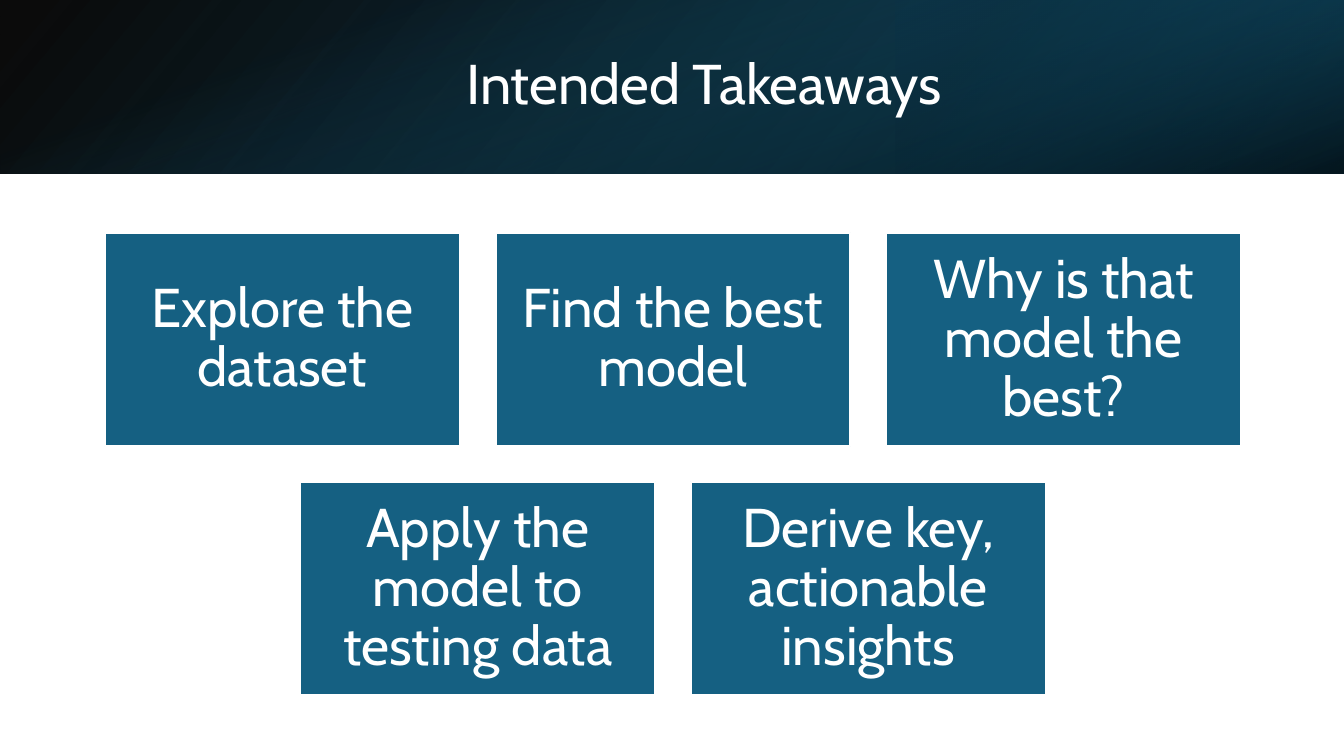
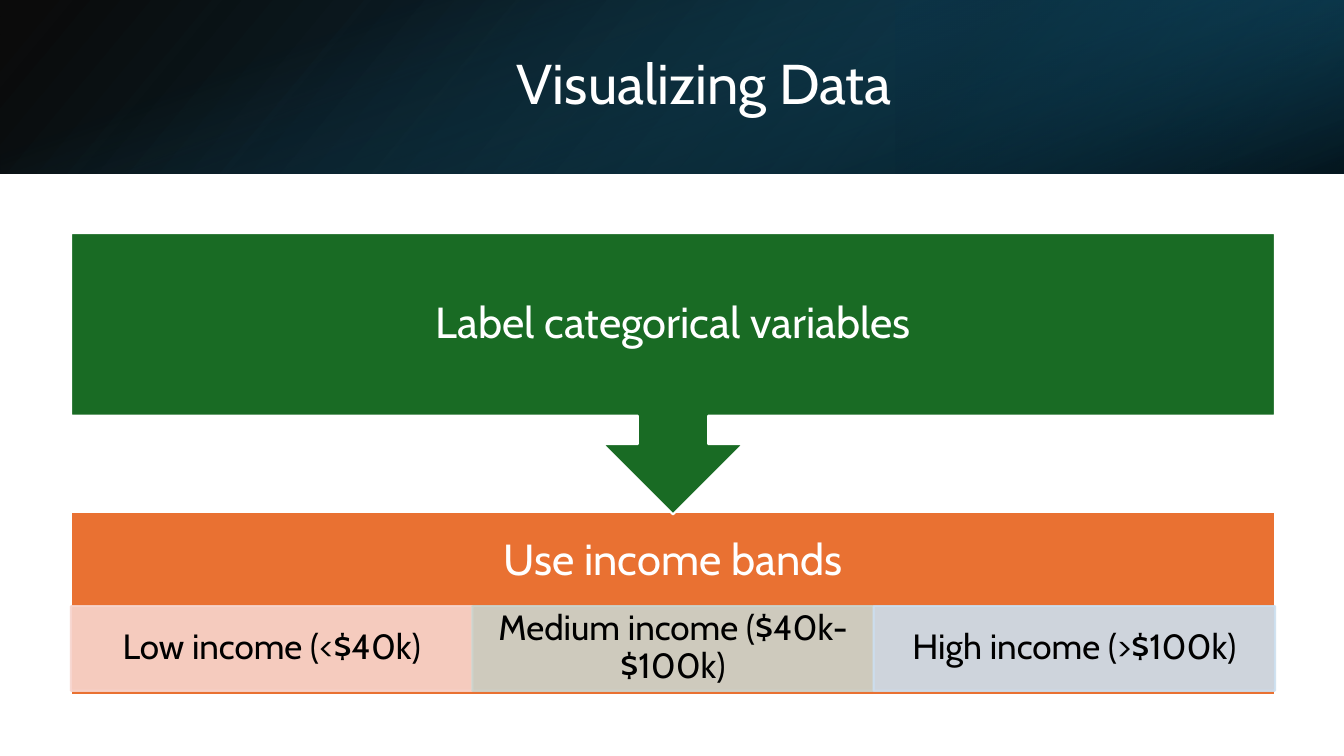
import pptx
import pptx.dml.color
import pptx.enum.shapes
import pptx.enum.text
import pptx.oxml
import pptx.oxml.ns
import pptx.util
from lxml import etree

Pt = pptx.util.Pt
qn = pptx.oxml.ns.qn
SHAPE = pptx.enum.shapes.MSO_SHAPE
ANCHOR = pptx.enum.text.MSO_ANCHOR
ALIGN = pptx.enum.text.PP_ALIGN
FIT = pptx.enum.text.MSO_AUTO_SIZE

FONT = "Cabin"
WIDTH, HEIGHT = 960, 540
BAND = (0, 0, WIDTH, 124)
WHITE, BLACK = "FFFFFF", "000000"
BLUE, GREEN, ORANGE = "156082", "196B24", "E97132"


def paint(color, value, alpha=100):
    """Set the colour of a fill, a line or a font."""
    if alpha < 100:
        color.rgb = pptx.dml.color.RGBColor.from_string(value)
        fade(color._xFill.find(qn("a:srgbClr")), alpha)
    else:
        color.rgb = pptx.dml.color.RGBColor.from_string(value)


def fade(node, alpha):
    etree.SubElement(node, qn("a:alpha"), val=str(alpha * 1000))


def write(shape, text, size, color=WHITE, inset=(7.2, 3.6, 7.2, 3.6)):
    frame = shape.text_frame
    frame.word_wrap = True
    frame.auto_size = FIT.NONE
    frame.vertical_anchor = ANCHOR.MIDDLE
    (frame.margin_left, frame.margin_top,
     frame.margin_right, frame.margin_bottom) = map(Pt, inset)
    para = frame.paragraphs[0]
    para.alignment = ALIGN.CENTER
    para.line_spacing = 0.9
    run = para.add_run()
    run.text = text
    run.font.name = FONT
    run.font.size = Pt(size)
    paint(run.font.color, color)


def block(slide, box, fill, line=WHITE, alpha=100, kind=SHAPE.RECTANGLE):
    shape = slide.shapes.add_shape(kind, *map(Pt, box))
    shape.shadow.inherit = False
    shape.fill.solid()
    shape.line.fill.solid()
    shape.line.width = Pt(1.5)
    for part, value in ((shape.fill, fill), (shape.line.fill, line)):
        paint(part.fore_color, value)
        if alpha < 100:
            fade(part.fore_color._color._xClr, alpha)
    return shape


def blend(slide, box, stops, angle, turn=0, flip=False):
    """Add a gradient rectangle; stops are (position, colour, opacity)."""
    shape = slide.shapes.add_shape(SHAPE.RECTANGLE, *map(Pt, box))
    shape.shadow.inherit = False
    shape.line.fill.background()
    shape.rotation = turn
    shape.fill.gradient()
    shape.fill.gradient_angle = 360 - angle
    props = shape._element.spPr
    if flip:
        props.find(qn("a:xfrm")).set("flipH", "1")
    items = props.find(qn("a:gradFill")).find(qn("a:gsLst"))
    for old in list(items):
        items.remove(old)
    for place, value, alpha in stops:
        stop = etree.SubElement(items, qn("a:gs"), pos=str(place * 1000))
        fade(etree.SubElement(stop, qn("a:srgbClr"), val=value), alpha)


def header(slide, box, text):
    left, top, width, height = box
    blend(slide, box, [(0, BLACK, 96), (100, "104862", 100)], 140, flip=True)
    blend(slide, (left + width * 2 / 3, top, width / 3, height),
          [(19, "0B3041", 68), (100, BLUE, 79)], 320, turn=180, flip=True)
    # A quarter turn swaps width and height around the band's centre.
    blend(slide, (left + (width - height) / 2, top + (height - width) / 2,
                  height, width),
          [(23, BLUE, 0), (99, BLACK, 74)], 340, turn=90)
    title = slide.shapes.title
    title.left, title.top = Pt(left + 108), Pt(top + 27)
    title.width, title.height = Pt(790), Pt(69)
    write(title, text, 40)
    slide.shapes._spTree.append(title._element)


def tiles(slide, box, rows, gap=25.4):
    """Lay out rows of equal tiles, each row centred in the box."""
    left, top, width, height = box
    most = max(map(len, rows))
    wide = (width - gap * (most - 1)) / most
    high = (height - gap * (len(rows) - 1)) / len(rows)
    for i, row in enumerate(rows):
        start = left + (most - len(row)) * (wide + gap) / 2
        for j, text in enumerate(row):
            spot = (start + j * (wide + gap), top + i * (high + gap),
                    wide, high)
            write(block(slide, spot, BLUE), text, 39, inset=(11.5,) * 4)


def steps(slide, box, first, second, bands):
    """Draw a callout pointing down at a panel split into bands."""
    left, top, width, height = box
    pad, tall, low, strip = 17.3, 131, 3, 60.4
    base = top + height - tall
    panel = block(slide, (left, base, width, tall), ORANGE)
    write(panel, second, 31, inset=(pad, pad, pad, pad + strip))
    wide = width / len(bands)
    for i, (text, fill) in enumerate(bands):
        spot = (left + i * wide, base + tall - low - strip, wide, strip)
        write(block(slide, spot, fill, line=fill, alpha=90), text, 25,
              color=BLACK, inset=(13.7, 2.2, 13.7, 2.2))
    call = block(slide, (left, top, width, 201), GREEN,
                 kind=SHAPE.DOWN_ARROW_CALLOUT)
    write(call, first, 31, inset=(pad,) * 4)


def page(deck, title):
    slide = deck.slides.add_slide(deck.slide_layouts[5])
    header(slide, BAND, title)
    return slide


def main():
    deck = pptx.Presentation()
    deck.slide_width, deck.slide_height = Pt(WIDTH), Pt(HEIGHT)
    tiles(page(deck, "Intended Takeaways"), (75, 166.4, 811.4, 330), [
        ["Explore the dataset", "Find the best model",
         "Why is that model the best?"],
        ["Apply the model to testing data",
         "Derive key, actionable insights"],
    ])
    steps(page(deck, "Visualizing Data"), (50.7, 166.4, 860, 330),
          "Label categorical variables", "Use income bands", [
              ("Low income (<$40k)", "F7D5CE"),
              ("Medium income ($40k-$100k)", "CCD4CD"),
              ("High income (>$100k)", "CCDFEF"),
          ])
    deck.save("out.pptx")


if __name__ == "__main__":
    main()
